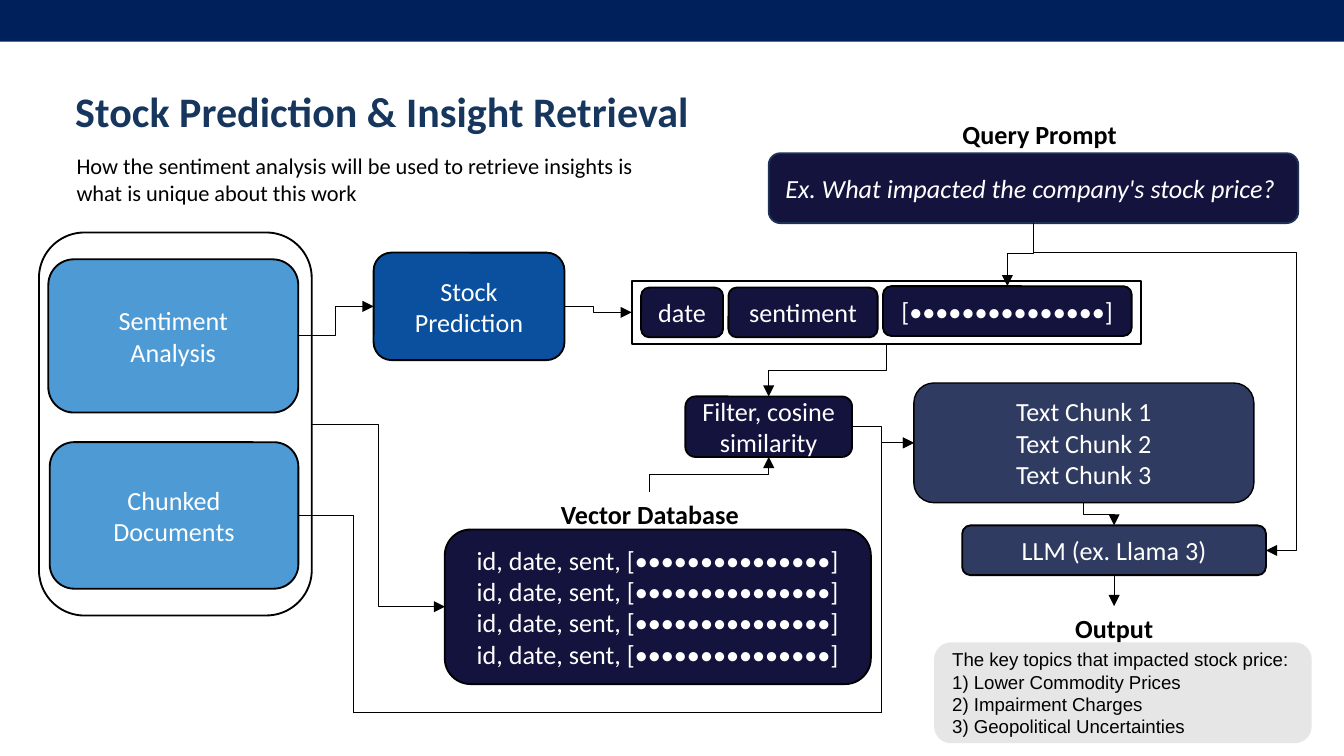
from collections import namedtuple

from lxml.etree import SubElement
from pptx import Presentation
from pptx.dml.color import RGBColor
from pptx.enum.shapes import MSO_CONNECTOR, MSO_SHAPE
from pptx.enum.text import MSO_ANCHOR, MSO_AUTO_SIZE, PP_ALIGN
from pptx.oxml.ns import qn
from pptx.util import Emu, Pt

PX = 9144  # 100 px to the inch
SLIDE_WIDTH = 1000
SLIDE_HEIGHT = SLIDE_WIDTH * 9 / 16
TOP, LEFT, BOTTOM, RIGHT = range(4)

BAND = RGBColor(0x00, 0x20, 0x5B)
TITLE = RGBColor(0x17, 0x36, 0x5D)
NAVY = RGBColor(0x13, 0x13, 0x3E)
QUERY_EDGE = RGBColor(0x1E, 0x32, 0x56)
SLATE = RGBColor(0x30, 0x3B, 0x61)
SKY = RGBColor(0x4D, 0x9A, 0xD4)
BLUE = RGBColor(0x0A, 0x50, 0x9E)
GRAY = RGBColor(0xE7, 0xE6, 0xE6)
BLACK = RGBColor(0x00, 0x00, 0x00)
WHITE = RGBColor(0xFF, 0xFF, 0xFF)

VECTOR = "[•••••••••••••••]"

Box = namedtuple("Box", "left top width height")
Port = namedtuple("Port", "x y shape site", defaults=(None, None))


def emu(lengths):
    return [Emu(round(length * PX)) for length in lengths]


def within(box, left, top, width, height):
    return Box(box.left + left, box.top + top, width, height)


def write(frame, lines, size=14, color=WHITE, align=PP_ALIGN.CENTER,
          face="Calibri", bold=False, italic=False):
    frame.word_wrap = True
    frame.text = "\n".join(lines)
    for paragraph in frame.paragraphs:
        paragraph.alignment = align
        font = paragraph.font
        font.name, font.size, font.bold, font.italic = face, Pt(size), bold, italic
        font.color.rgb = color


def node(slide, box, lines=(), fill=None, edge=BLACK, weight=1,
         kind=MSO_SHAPE.ROUNDED_RECTANGLE, **style):
    shape = slide.shapes.add_shape(kind, *emu(box))
    shape.shadow.inherit = False
    if fill is None:
        shape.fill.background()
    else:
        shape.fill.solid()
        shape.fill.fore_color.rgb = fill
    if edge is None:
        shape.line.fill.background()
    else:
        shape.line.color.rgb = edge
        shape.line.width = Pt(weight)
    if lines:
        shape.text_frame.vertical_anchor = MSO_ANCHOR.MIDDLE
        write(shape.text_frame, lines, **style)
    return shape


def caption(slide, box, text):
    label = slide.shapes.add_textbox(*emu(box))
    write(label.text_frame, [text], color=BLACK, bold=True)
    return label


def port(shape, site):
    """Return the middle of one side of a shape, in px."""
    dx, dy = {TOP: (0.5, 0), LEFT: (0, 0.5), BOTTOM: (0.5, 1), RIGHT: (1, 0.5)}[site]
    return Port((shape.left + dx * shape.width) / PX,
                (shape.top + dy * shape.height) / PX, shape, site)


def link(slide, start, end, kind=MSO_CONNECTOR.STRAIGHT, arrow=True):
    connector = slide.shapes.add_connector(
        kind, *emu((start.x, start.y, end.x, end.y)))
    if start.shape is not None:
        connector.begin_connect(start.shape, start.site)
    if end.shape is not None:
        connector.end_connect(end.shape, end.site)
    connector.line.color.rgb = BLACK
    connector.line.width = Pt(0.5)
    properties = connector._element.spPr
    if arrow:
        SubElement(properties.find(qn("a:ln")), qn("a:tailEnd"), type="triangle")
    SubElement(properties, qn("a:effectLst"))
    return connector


def elbow(slide, start, end, vertical=False, segments=3, bends=(), arrow=True):
    """Draw a bent connector that leaves its start sideways, or up or down if vertical.

    bends are the shares of the way, along and across, at which it turns.
    """
    connector = link(slide, start, end, MSO_CONNECTOR.ELBOW, arrow)
    dx, dy = end.x - start.x, end.y - start.y
    width, height = (abs(dy), abs(dx)) if vertical else (abs(dx), abs(dy))
    connector.left, connector.top, connector.width, connector.height = emu((
        (start.x + end.x - width) / 2, (start.y + end.y - height) / 2, width, height))

    properties = connector._element.spPr
    frame = properties.find(qn("a:xfrm"))
    turn = (90 if dy > 0 else 270) if vertical else 0
    mirrored = (dx > 0) == (dy > 0) if vertical else dy < 0
    frame.set("rot", str(turn * 60000))
    frame.set("flipH", "0")
    frame.set("flipV", str(int(mirrored)))

    geometry = properties.find(qn("a:prstGeom"))
    geometry.set("prst", f"bentConnector{segments}")
    guides = geometry.find(qn("a:avLst"))
    if guides is None:
        guides = SubElement(geometry, qn("a:avLst"))
    for number, share in enumerate(bends, 1):
        SubElement(guides, qn("a:gd"), name=f"adj{number}",
                   fmla=f"val {round(share * 100000)}")


def header(slide, box):
    node(slide, Box(0, 0, SLIDE_WIDTH, 31), fill=BAND, edge=None,
         kind=MSO_SHAPE.RECTANGLE)
    title = slide.shapes.title
    title.left, title.top, title.width, title.height = emu(
        within(box, 0, 0, 562, 44))
    subtitle = slide.shapes.add_textbox(*emu(within(box, 0, 55, 433, 40)))
    for frame in (title.text_frame, subtitle.text_frame):
        frame.margin_left = frame.margin_right = 0
        frame.margin_top = frame.margin_bottom = 0
        frame.vertical_anchor = MSO_ANCHOR.TOP
        frame.auto_size = MSO_AUTO_SIZE.NONE
    write(title.text_frame, ["Stock Prediction & Insight Retrieval"], 22.5, TITLE,
          PP_ALIGN.LEFT, bold=True)
    title.text_frame.paragraphs[0].line_spacing = 1.16
    write(subtitle.text_frame,
          ["How the sentiment analysis will be used to retrieve insights is "
           "what is unique about this work"], 12, BLACK, PP_ALIGN.LEFT)
    subtitle.text_frame.margin_left = Emu(PX)


def sources(slide, box):
    sentiment = node(slide, within(box, 7, 20, 186, 114),
                     ["Sentiment", "Analysis"], SKY)
    documents = node(slide, within(box, 8, 156, 185, 109),
                     ["Chunked Documents"], SKY)
    return node(slide, box), sentiment, documents


def query_prompt(slide, box):
    caption(slide, within(box, 97, 0, 209, 34), "Query Prompt")
    return node(slide, within(box, 0, 31, box.width, 52),
                ["Ex. What impacted the company's stock price?"], NAVY, QUERY_EDGE,
                align=PP_ALIGN.LEFT, italic=True)


def query_record(slide, box):
    for left, width, field in ((7, 61, "date"), (72, 111, "sentiment")):
        node(slide, within(box, left, 5, width, 37), [field], NAVY)
    embedding = node(slide, within(box, 187, 4, 185, 37), [VECTOR], NAVY)
    return node(slide, box, kind=MSO_SHAPE.RECTANGLE), embedding


def vector_database(slide, box):
    store = node(slide, within(box, 0, 28, box.width, 115),
                 [f"id, date, sent, {VECTOR}"] * 4, NAVY)
    return store, caption(slide, within(box, 48, 0, 209, 34), "Vector Database")


def answer(slide, box):
    node(slide, within(box, 0, 27, box.width, 75),
         ["The key topics that impacted stock price:", "1) Lower Commodity Prices",
          "2) Impairment Charges", "3) Geopolitical Uncertainties"],
         GRAY, None, size=10, color=BLACK, align=PP_ALIGN.LEFT, face="Arial")
    return caption(slide, within(box, 29, 0, 210, 34), "Output")


def main():
    deck = Presentation()
    deck.slide_width, deck.slide_height = emu((SLIDE_WIDTH, SLIDE_HEIGHT))
    slide = deck.slides.add_slide(deck.slide_layouts[5])

    header(slide, Box(56, 58, 562, 95))
    panel, sentiment, documents = sources(slide, Box(29, 173, 203, 285))
    prediction = node(slide, Box(278, 188, 142, 80), ["Stock Prediction"], BLUE)
    query = query_prompt(slide, Box(572, 83, 394, 83))
    record, embedding = query_record(slide, Box(470, 209, 379, 47))
    matching = node(slide, Box(510, 295, 124, 45), ["Filter, cosine similarity"], NAVY)
    store, store_label = vector_database(slide, Box(331, 366, 317, 143))
    chunks = node(slide, Box(680, 285, 253, 89),
                  [f"Text Chunk {number}" for number in (1, 2, 3)], SLATE, weight=0.75)
    model = node(slide, Box(716, 391, 226, 37), ["LLM (ex. Llama 3)"], SLATE)
    output_label = answer(slide, Box(695, 451, 281, 102))

    elbow(slide, port(sentiment, RIGHT), port(prediction, LEFT))
    elbow(slide, port(prediction, RIGHT), port(record, LEFT), bends=[0.44])
    elbow(slide, port(panel, RIGHT), port(store, LEFT))
    elbow(slide, port(matching, RIGHT), port(chunks, LEFT), bends=[0.47])
    elbow(slide, port(query, BOTTOM), port(embedding, TOP), True, bends=[0.48])
    elbow(slide, port(query, BOTTOM), port(model, RIGHT), True, 4, [0.09, 1.13])
    elbow(slide, port(record, BOTTOM), port(matching, TOP), True)
    elbow(slide, port(store_label, TOP), port(matching, BOTTOM), True)
    elbow(slide, port(chunks, BOTTOM), port(model, TOP), True)
    link(slide, port(model, BOTTOM), port(output_label, TOP))

    bypass_left, bypass_right = Port(263, 530), Port(656, 530)
    elbow(slide, port(documents, RIGHT), bypass_left, segments=2, arrow=False)
    link(slide, bypass_right, bypass_left, arrow=False)
    elbow(slide, bypass_right, port(chunks, LEFT), True, 2)

    deck.save("out.pptx")


if __name__ == "__main__":
    main()
